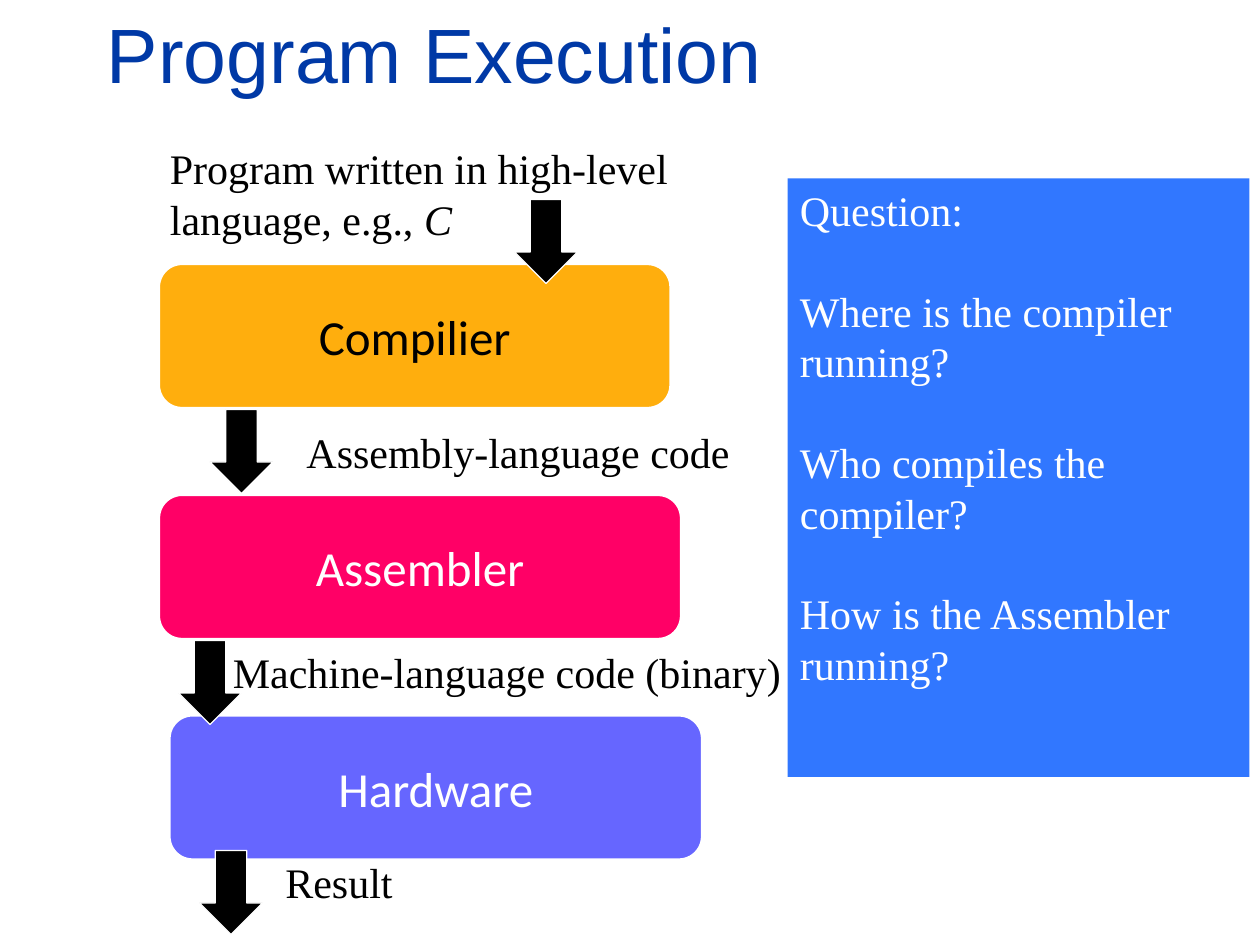
from typing import NamedTuple

from pptx import Presentation
from pptx.dml.color import RGBColor
from pptx.enum.shapes import MSO_SHAPE
from pptx.enum.text import MSO_ANCHOR, PP_ALIGN
from pptx.util import Inches, Pt

COLS, ROWS = 120, 90  # grid of 12 cells to the inch
CELL = Inches(1) // 12
SERIF = "Times New Roman"
LINE_PITCH = 28.8
BLACK, WHITE = "000000", "FFFFFF"


class Stage(NamedTuple):
    name: str
    col: int
    row: int
    cols: int
    fill: str
    color: str


class Label(NamedTuple):
    runs: list[str]
    col: int
    row: int
    cols: int
    rows: int


STAGES = [
    Stage("Compilier", 15, 25, 49, "FFAE0D", BLACK),
    Stage("Assembler", 15, 47, 50, "FF0066", WHITE),
    Stage("Hardware", 16, 68, 51, "6666FF", WHITE),
]
LABELS = [
    Label(["Program written in high-level language, e.g., ", "*C"], 15, 13, 51, 11),
    Label(["Assembly-language code"], 28, 40, 51, 6),
    Label(["Machine-language code (binary)"], 21, 61, 62, 6),
    Label(["Result"], 26, 81, 51, 6),
]
ARROWS = [(49, 19), (20, 39), (17, 61), (19, 81)]
QUESTIONS = [
    "Question:",
    "Where is the compiler running?",
    "Who compiles the compiler?",
    "How is the Assembler running?",
]


def rgb(value: str) -> RGBColor:
    return RGBColor.from_string(value)


def cells(*values: float) -> list[int]:
    return [int(v * CELL) for v in values]


def write(sp, paragraphs: list[list[str]], *, font: str = SERIF, size: float = 24,
          color: str = BLACK, align=PP_ALIGN.LEFT, anchor=MSO_ANCHOR.TOP,
          pitch: float | None = None, gap: float = 0, wrap: bool = True) -> None:
    """Fill sp with paragraphs of runs; a run that starts with * is italic."""
    tf = sp.text_frame
    tf.word_wrap, tf.vertical_anchor = wrap, anchor
    for i, runs in enumerate(paragraphs):
        p = tf.add_paragraph() if i else tf.paragraphs[0]
        p.alignment = align
        if pitch:
            p.line_spacing = Pt(pitch)
        if i:
            p.space_before = Pt(gap)
        for text in runs:
            r = p.add_run()
            r.text = text.removeprefix("*")
            r.font.name, r.font.size = font, Pt(size)
            r.font.color.rgb = rgb(color)
            if text.startswith("*"):
                r.font.italic = True


def add_box(s, kind, place: list[int], fill: str, outline: float = 0):
    """Add a filled shape with a white outline of the given width in points."""
    sp = s.shapes.add_shape(kind, *place)
    sp.shadow.inherit = False
    sp.fill.solid()
    sp.fill.fore_color.rgb = rgb(fill)
    if outline:
        sp.line.color.rgb = rgb(WHITE)
        sp.line.width = Pt(outline)
    else:
        sp.line.fill.background()
    return sp


def add_stage(s, stage: Stage) -> None:
    place = cells(stage.col, stage.row, stage.cols, 14)
    sp = add_box(s, MSO_SHAPE.ROUNDED_RECTANGLE, place, stage.fill, 3)
    write(sp, [[stage.name]], font="Calibri", size=28, color=stage.color,
          align=PP_ALIGN.CENTER, anchor=MSO_ANCHOR.MIDDLE, wrap=False)


def add_label(s, label: Label) -> None:
    sp = s.shapes.add_textbox(*cells(label.col, label.row, label.cols, label.rows))
    write(sp, [label.runs], pitch=LINE_PITCH)


def main() -> None:
    prs = Presentation()
    prs.slide_width, prs.slide_height = cells(COLS, ROWS)
    s = prs.slides.add_slide(prs.slide_layouts[6])

    title = s.shapes.add_textbox(*cells(9, 0, 108, 10))
    write(title, [["Program Execution"]], font="Arial", size=44,
          color="0039A6", anchor=MSO_ANCHOR.BOTTOM)
    for stage in STAGES:
        add_stage(s, stage)
    for col, row in ARROWS:
        add_box(s, MSO_SHAPE.DOWN_ARROW, cells(col, row, 6, 8), BLACK, 0.75)
    for label in LABELS:
        add_label(s, label)
    panel = add_box(s, MSO_SHAPE.RECTANGLE, cells(75, 17, 44, 57), "3177FF")
    write(panel, [[q] for q in QUESTIONS], color=WHITE,
          pitch=LINE_PITCH, gap=LINE_PITCH)

    prs.save("out.pptx")


if __name__ == "__main__":
    main()
